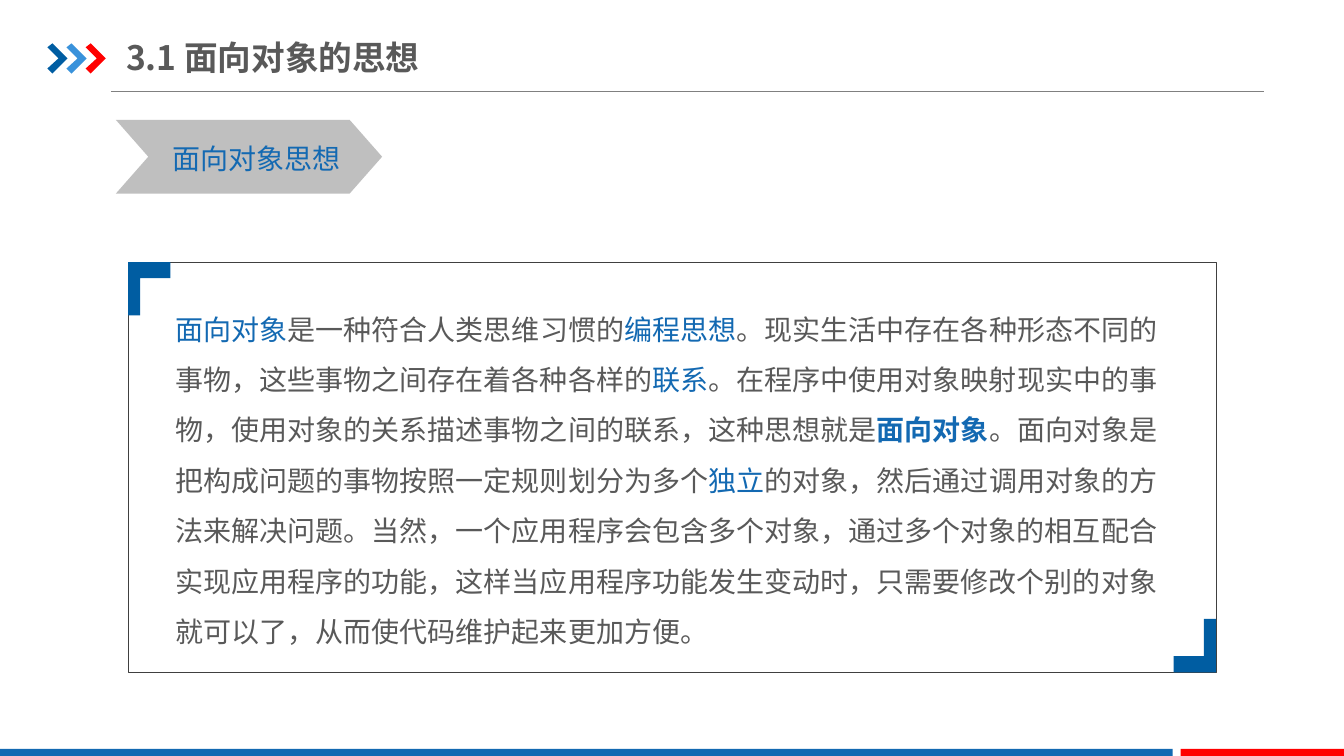
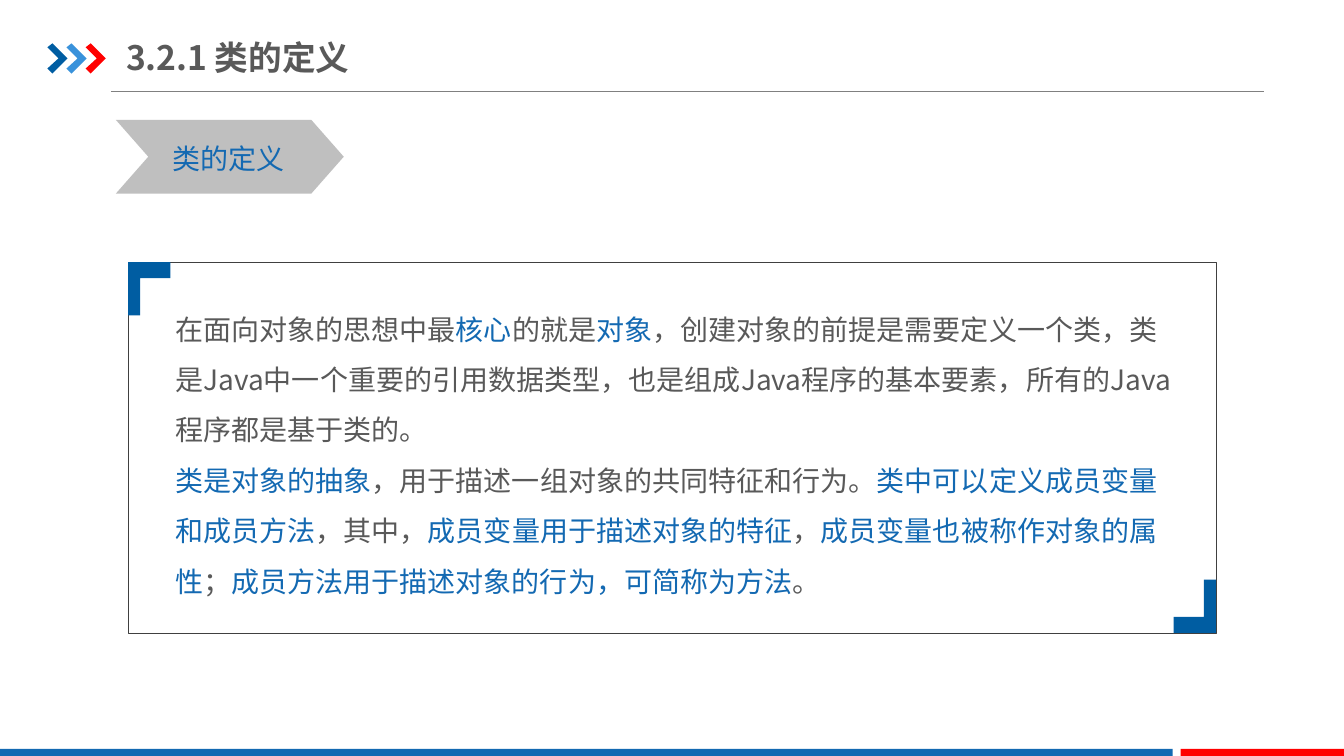
from lxml import etree
from pptx import Presentation
from pptx import util as u
from pptx.dml.color import RGBColor
from pptx.enum import shapes, text
from pptx.oxml.ns import qn

FONT = "Noto Sans CJK SC"
COLORS = {
    "navy": "005DA2",
    "sky": "3992DB",
    "red": "FF0000",
    "blue": "1369B2",
    "ink": "595959",
    "silver": "BFBFBF",
    "rule": "808080",
    "border": "404040",
}
WIDTH, HEIGHT = 13.33, 7.5
PANEL_LEFT, PANEL_TOP, PANEL_WIDTH = 1.27, 2.6, 10.79
TAG_TOP, TAG_HEIGHT = 1.19, 0.73
BAR_TOP = 7.43
ARROW = [(0, 0.04), (0.05, 0), (0.2, 0.15), (0.05, 0.3), (0, 0.25), (0.11, 0.15)]
BRACKET = [(0, 0), (0.42, 0), (0.42, 0.16), (0.12, 0.16), (0.12, 0.53), (0, 0.53)]

PAGES = [
    {
        "title": "3.1 面向对象的思想",
        "tag": "面向对象思想",
        "tag_width": 2.64,
        "panel_height": 4.07,
        "body": [
            [
                ("blue", "面向对象"),
                ("ink", "是一种符合人类思维习惯的"),
                ("blue", "编程思想"),
                ("ink", "。现实生活中存在各种形态不同的事物，这些事物之间存在着各种各样的"),
                ("blue", "联系"),
                ("ink", "。在程序中使用对象映射现实中的事物，使用对象的关系描述事物之间的联系，"
                        "这种思想就是"),
                ("bold", "面向对象"),
                ("ink", "。面向对象是把构成问题的事物按照一定规则划分为多个"),
                ("blue", "独立"),
                ("ink", "的对象，然后通过调用对象的方法来解决问题。当然，一个应用程序会包含多个对象，"
                        "通过多个对象的相互配合实现应用程序的功能，这样当应用程序功能发生变动时，"
                        "只需要修改个别的对象就可以了，从而使代码维护起来更加方便。"),
            ],
        ],
    },
    {
        "title": "3.2.1 类的定义",
        "tag": "类的定义",
        "tag_width": 2.26,
        "panel_height": 3.68,
        "body": [
            [
                ("ink", "在面向对象的思想中最"),
                ("blue", "核心"),
                ("ink", "的就是"),
                ("blue", "对象"),
                ("ink", "，创建对象的前提是需要定义一个类，类是Java中一个重要的引用数据类型，"
                        "也是组成Java程序的基本要素，所有的Java程序都是基于类的。"),
            ],
            [
                ("blue", "类是对象的抽象"),
                ("ink", "，用于描述一组对象的共同特征和行为。"),
                ("blue", "类中可以定义成员变量和成员方法"),
                ("ink", "，其中，"),
                ("blue", "成员变量用于描述对象的特征"),
                ("ink", "，"),
                ("blue", "成员变量也被称作对象的属性"),
                ("ink", "；"),
                ("blue", "成员方法用于描述对象的行为，可简称为方法"),
                ("ink", "。"),
            ],
        ],
    },
]


def color(name):
    return RGBColor.from_string(COLORS[name])


def inches(*values):
    return [u.Inches(value) for value in values]


def paint(shape, name):
    shape.shadow.inherit = False
    shape.fill.solid()
    shape.fill.fore_color.rgb = color(name)
    shape.line.fill.background()
    return shape


def add_block(page, kind, area, name):
    return paint(page.shapes.add_shape(kind, *inches(*area)), name)


def add_outline(page, points, left, top, name, direction=1):
    corners = [
        inches(left + direction * x, top + direction * y) for x, y in points
    ]
    builder = page.shapes.build_freeform(*corners[0])
    builder.add_line_segments(corners[1:], close=True)
    return paint(builder.convert_to_shape(), name)


def set_font(para, size, name, bold=False):
    font = para.font
    font.size, font.name, font.bold = u.Pt(size), FONT, bold
    font.color.rgb = color(name)
    for properties in para._p.iter(qn("a:defRPr")):
        etree.SubElement(properties, qn("a:ea"), typeface=FONT)


def set_margins(frame, side, end):
    frame.margin_left = frame.margin_right = u.Inches(side)
    frame.margin_top = frame.margin_bottom = u.Inches(end)


def build_layout(layout, page):
    for holder in list(layout.placeholders):
        if holder.placeholder_format.idx:
            holder.element.getparent().remove(holder.element)
        else:
            holder.left, holder.top, holder.width, holder.height = inches(
                1.25, 0.29, 10, 0.55
            )
    rule = page.shapes.add_connector(
        shapes.MSO_CONNECTOR.STRAIGHT, *inches(1.1, 0.91, 12.54, 0.91)
    )
    rule.line.color.rgb = color("rule")
    rule.line.width = u.Pt(0.75)
    etree.SubElement(rule.element.spPr, qn("a:effectLst"))
    parts = [rule]
    for index, name in enumerate(["navy", "sky", "red"]):
        parts.append(add_outline(page, ARROW, 0.47 + index * 0.19, 0.43, name))
    for left, right, name in [(0, 11.63, "blue"), (11.71, WIDTH, "red")]:
        area = (left, BAR_TOP, right - left, HEIGHT - BAR_TOP)
        parts.append(add_block(page, shapes.MSO_SHAPE.RECTANGLE, area, name))
    for part in parts:
        layout.shapes.element.append(part.element)


def add_title(page, words):
    frame = page.shapes.title.text_frame
    frame.text = words
    frame.auto_size = text.MSO_AUTO_SIZE.NONE
    frame.vertical_anchor = text.MSO_ANCHOR.MIDDLE
    set_margins(frame, 0, 0.07)
    para = frame.paragraphs[0]
    para.alignment = text.PP_ALIGN.LEFT
    set_font(para, 24, "ink", bold=True)


def add_tag(page, words, width):
    area = (1.15, TAG_TOP, width, TAG_HEIGHT)
    chevron = add_block(page, shapes.MSO_SHAPE.CHEVRON, area, "silver")
    chevron.adjustments[0] = 0.44
    label = page.shapes.add_textbox(*inches(1.61, 1.35, width - 0.77, 0.44))
    frame = label.text_frame
    frame.text = words
    frame.word_wrap = False
    frame.auto_size = text.MSO_AUTO_SIZE.SHAPE_TO_FIT_TEXT
    set_font(frame.paragraphs[0], 20, "blue")


def add_panel(page, body, height):
    area = (PANEL_LEFT, PANEL_TOP, PANEL_WIDTH, height)
    panel = page.shapes.add_shape(shapes.MSO_SHAPE.RECTANGLE, *inches(*area))
    panel.shadow.inherit = False
    panel.fill.background()
    panel.line.color.rgb = color("border")
    panel.line.width = u.Pt(0.25)
    add_outline(page, BRACKET, PANEL_LEFT, PANEL_TOP, "navy")
    add_outline(
        page, BRACKET, PANEL_LEFT + PANEL_WIDTH, PANEL_TOP + height, "navy", -1
    )

    box = page.shapes.add_textbox(*inches(1.64, 2.88, 10.08, height - 0.5))
    frame = box.text_frame
    frame.word_wrap = True
    set_margins(frame, 0.1, 0.05)
    for index, spans in enumerate(body):
        para = frame.add_paragraph() if index else frame.paragraphs[0]
        para.line_spacing = 1.5
        set_font(para, 20, "ink")
        for style, words in spans:
            span = para.add_run()
            span.text = words
            if style != "ink":
                span.font.color.rgb = color("blue")
            if style == "bold":
                span.font.bold = True


def main():
    deck = Presentation()
    deck.slide_width, deck.slide_height = inches(WIDTH, HEIGHT)
    layout = deck.slide_layouts.get_by_name("Title Only")
    for index, content in enumerate(PAGES):
        page = deck.slides.add_slide(layout)
        if index == 0:
            build_layout(layout, page)
        add_title(page, content["title"])
        add_tag(page, content["tag"], content["tag_width"])
        add_panel(page, content["body"], content["panel_height"])
    deck.save("out.pptx")


if __name__ == "__main__":
    main()
